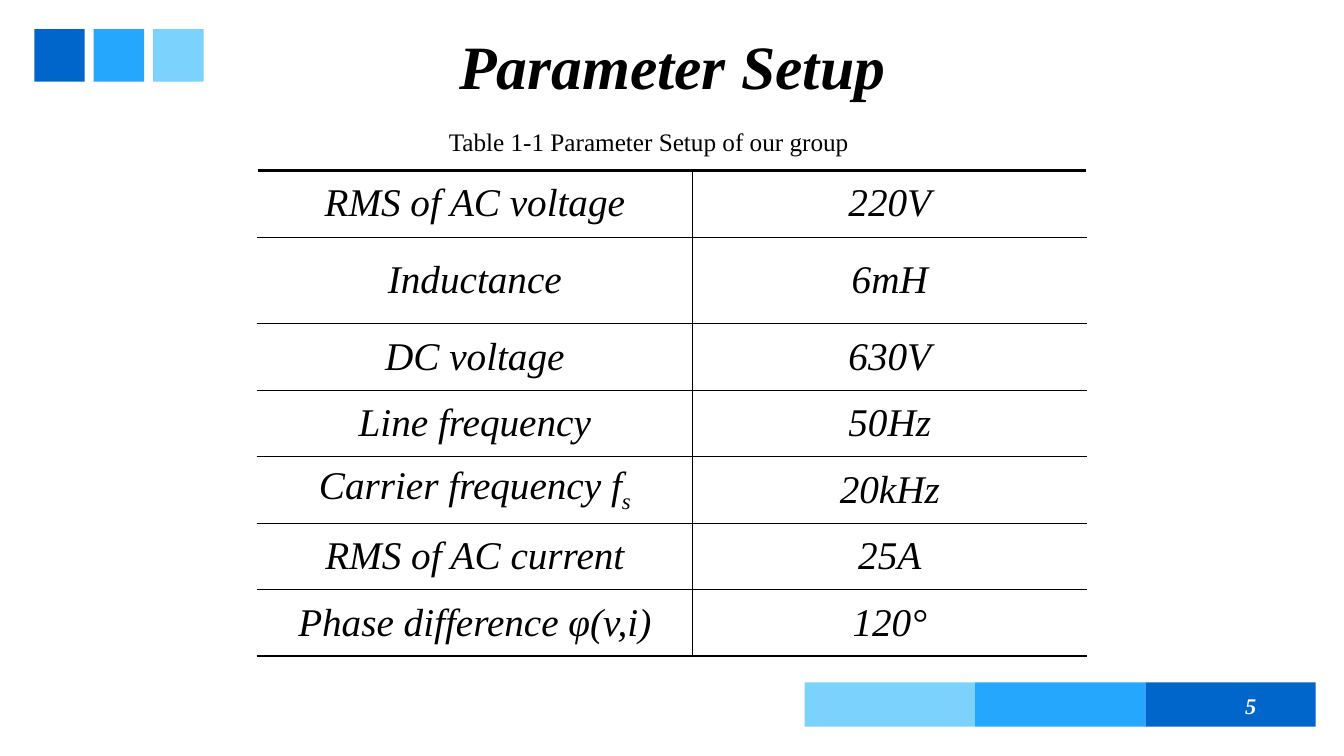
from pptx import Presentation
from pptx.dml.color import RGBColor
from pptx.enum.shapes import MSO_SHAPE
from pptx.enum.text import MSO_ANCHOR, PP_ALIGN
from pptx.oxml.ns import qn
from pptx.util import Inches, Pt
from lxml.etree import SubElement

COLORS = {
    "dark": "0066CC",
    "middle": "25A7FD",
    "light": "7BD2FD",
    "black": "000000",
    "white": "FFFFFF",
}
FONT = "Times New Roman"
BLUES = ["dark", "middle", "light"]
TITLE = "Parameter Setup"
CAPTION = "Table 1-1 Parameter Setup of our group"
PAGE_NUMBER = "5"
PARAMETERS = [
    ("RMS of AC voltage", "", "220V"),
    ("Inductance", "", "6mH"),
    ("DC voltage", "", "630V"),
    ("Line frequency", "", "50Hz"),
    ("Carrier frequency f", "s", "20kHz"),
    ("RMS of AC current", "", "25A"),
    ("Phase difference φ(v,i)", "", "120°"),
]
COLUMN_WIDTHS = [4.32, 3.91]
ROW_HEIGHTS = [0.66, 0.86, 0.66, 0.66, 0.66, 0.66, 0.66]


def color(name):
    return RGBColor.from_string(COLORS[name])


def write(frame, text, size, ink="black", bold=False, italic=True,
          align=PP_ALIGN.CENTER, subscript="", spacing=None):
    para = frame.paragraphs[0]
    para.alignment = align
    if spacing:
        para.line_spacing = spacing
    for part, baseline in ((text, 0), (subscript, -25000)):
        if not part:
            continue
        span = para.add_run()
        span.text = part
        span.font.name = FONT
        span.font.size = Pt(size)
        span.font.bold = bold
        span.font.italic = italic
        span.font.color.rgb = color(ink)
        if baseline:
            span._r.get_or_add_rPr().set("baseline", str(baseline))


def add_block(page, left, top, width, height, fill):
    block = page.shapes.add_shape(
        MSO_SHAPE.RECTANGLE, Inches(left), Inches(top), Inches(width), Inches(height))
    block.shadow.inherit = False
    block.fill.solid()
    block.fill.fore_color.rgb = color(fill)
    block.line.fill.background()


def add_text(page, left, top, width, height, text, size,
             anchor=MSO_ANCHOR.TOP, wrap=True, **style):
    box = page.shapes.add_textbox(
        Inches(left), Inches(top), Inches(width), Inches(height))
    frame = box.text_frame
    frame.word_wrap = wrap
    frame.vertical_anchor = anchor
    write(frame, text, size, **style)


def set_borders(cell, borders):
    properties = cell._tc.get_or_add_tcPr()
    for side, (ink, width) in borders.items():
        line = SubElement(properties, qn(f"a:ln{side}"), w=str(Pt(width)))
        fill = SubElement(line, qn("a:solidFill"))
        SubElement(fill, qn("a:srgbClr"), val=COLORS[ink])


def add_parameters(page, left, top):
    table = page.shapes.add_table(
        len(PARAMETERS), len(COLUMN_WIDTHS), Inches(left), Inches(top),
        Inches(sum(COLUMN_WIDTHS)), Inches(sum(ROW_HEIGHTS))).table
    table.first_row = False
    table.horz_banding = False
    for column, width in zip(table.columns, COLUMN_WIDTHS):
        column.width = Inches(width)
    thin, thick, outer = ("black", 0.5), ("black", 2.25), ("white", 1)
    last = len(PARAMETERS) - 1
    for index, (name, subscript, value) in enumerate(PARAMETERS):
        table.rows[index].height = Inches(ROW_HEIGHTS[index])
        for column, (text, suffix) in enumerate([(name, subscript), (value, "")]):
            cell = table.cell(index, column)
            set_borders(cell, {
                "L": thin if column else outer,
                "R": outer if column else thin,
                "T": thick if index == 0 else thin,
                "B": thick if index == last else thin,
            })
            cell.fill.solid()
            cell.fill.fore_color.rgb = color("white")
            cell.vertical_anchor = MSO_ANCHOR.MIDDLE
            write(cell.text_frame, text, 28, subscript=suffix)


def main():
    deck = Presentation()
    deck.slide_width = Inches(13.33)
    deck.slide_height = Inches(7.5)
    page = deck.slides.add_slide(deck.slide_layouts[6])
    for index, blue in enumerate(BLUES):
        add_block(page, 0.34 + 0.59 * index, 0.29, 0.5, 0.52, blue)
        add_block(page, 11.36 - 1.69 * index, 6.77, 1.69, 0.44, blue)
    add_text(page, 3.99, 0.24, 5.36, 0.83, TITLE, 44,
             anchor=MSO_ANCHOR.BOTTOM, bold=True, spacing=0.9)
    add_text(page, 9.56, 6.8, 3, 0.4, PAGE_NUMBER, 16, ink="white",
             anchor=MSO_ANCHOR.MIDDLE, bold=True, align=PP_ALIGN.RIGHT)
    add_parameters(page, 2.55, 1.69)
    add_text(page, 4.3, 1.2, 4.27, 0.4, CAPTION, 18, wrap=False, italic=False)
    deck.save("out.pptx")


if __name__ == "__main__":
    main()
